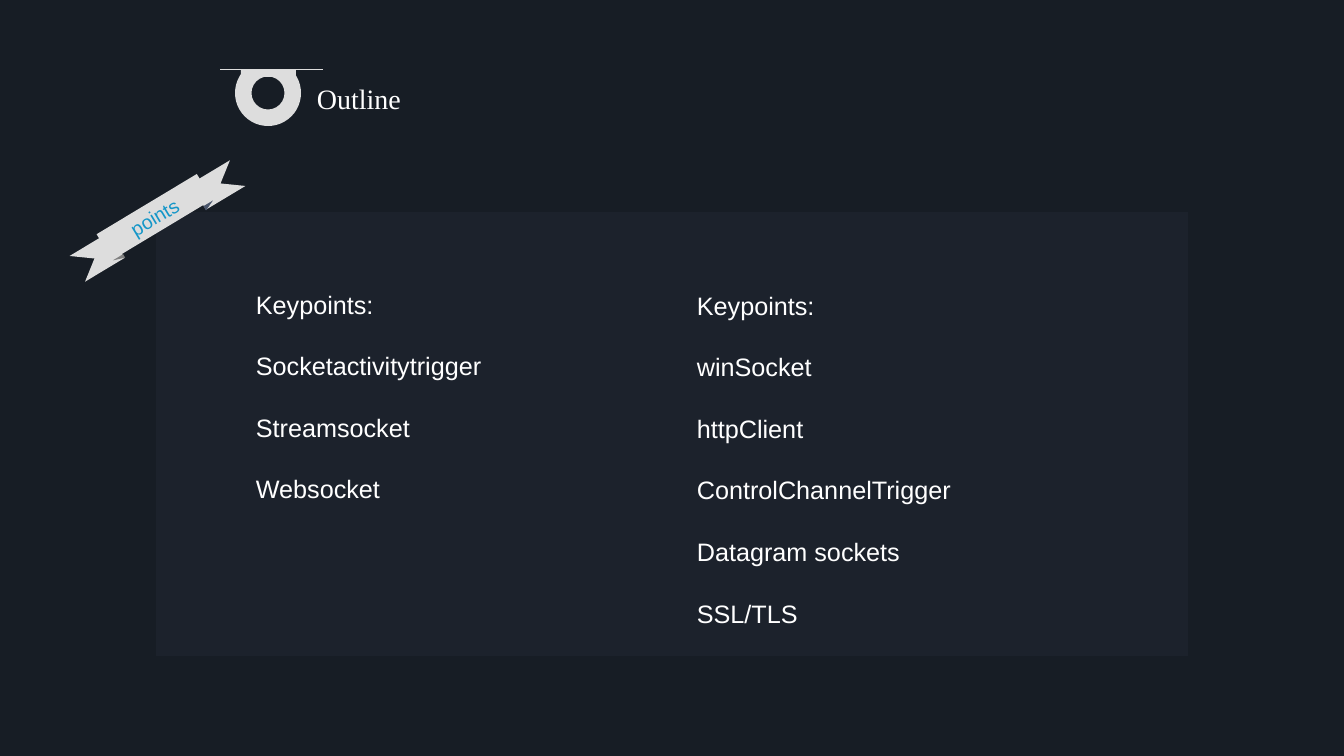
from dataclasses import dataclass

from lxml import etree
from pptx import Presentation
from pptx.dml.color import RGBColor
from pptx.enum.shapes import MSO_CONNECTOR, MSO_SHAPE
from pptx.enum.text import MSO_ANCHOR, PP_ALIGN
from pptx.oxml.ns import qn
from pptx.util import Emu, Pt

RECTANGLE, DONUT = MSO_SHAPE.RECTANGLE, MSO_SHAPE.DONUT
STRAIGHT = MSO_CONNECTOR.STRAIGHT


@dataclass(frozen=True)
class Theme:
    background: str = "171D25"
    slate: str = "4A566C"
    light: str = "DDDDDD"
    shade: str = "808080"
    text: str = "FFFFFF"
    accent: str = "1496C8"
    sans: str = "Arial"
    serif: str = "Times New Roman"
    title_size: int = 20
    body_size: int = 18
    ribbon_size: int = 14
    body_gap: float = 22.4


THEME = Theme()
SCALE = 914400 / 100.8

TITLE = "Outline"
RIBBON_LABEL = "points"
RIBBON_ANGLE = 329
# (box in px, left indent in px, lines)
COLUMNS = [
    ((246, 284, 357, 285), 0,
     ["Keypoints:", "Socketactivitytrigger", "Streamsocket", "Websocket"]),
    ((637, 285, 357, 346), 50,
     ["Keypoints:", "winSocket", "httpClient", "ControlChannelTrigger",
      "Datagram sockets", "SSL/TLS"]),
]
TAIL = [(0, 0), (46, 0), (26, 15), (46, 30), (0, 30)]
RIGHT_FOLD = [(0, 0), (11, 0), (0, 5)]
LEFT_FOLD = [(0, 0), (12, 0), (12, 4)]
# (outline, left, top, rotation, colour)
RIBBON_TAILS = [
    (TAIL, 74, 242, RIBBON_ANGLE - 180, THEME.light),
    (TAIL, 195, 170, RIBBON_ANGLE, THEME.light),
]
RIBBON_FOLDS = [
    (RIGHT_FOLD, 204, 203, RIBBON_ANGLE, THEME.slate),
    (LEFT_FOLD, 113, 257, RIBBON_ANGLE, THEME.shade),
]


def px(value):
    return Emu(round(value * SCALE))


def paint(shape, color):
    shape.shadow.inherit = False
    shape.fill.solid()
    shape.fill.fore_color.rgb = RGBColor.from_string(color)
    shape.line.fill.background()
    return shape


def add_block(slide, kind, box, color):
    return paint(slide.shapes.add_shape(kind, *map(px, box)), color)


def add_outline(slide, points, left, top, rotation, color):
    builder = slide.shapes.build_freeform(*points[0], scale=SCALE)
    builder.add_line_segments(points[1:], close=True)
    shape = paint(builder.convert_to_shape(px(left), px(top)), color)
    shape.rotation = rotation


def style_text(paragraph, font_name, size, color):
    for run in paragraph.runs:
        run.font.name = font_name
        run.font.size = Pt(size)
        run.font.color.rgb = RGBColor.from_string(color)


def add_text(slide, box, lines, font_name, size, gap=0, indent=0):
    frame = slide.shapes.add_textbox(*map(px, box)).text_frame
    frame.word_wrap = True
    frame.text = "\n".join(lines)
    for index, paragraph in enumerate(frame.paragraphs):
        paragraph.space_before = Pt(gap if index else 0)
        if indent:
            paragraph._p.get_or_add_pPr().set("marL", str(px(indent)))
        style_text(paragraph, font_name, size, THEME.text)


def add_hanging_ring(slide):
    """Ring below a rail; a block in the background colour hides what rises above."""
    rail = slide.shapes.add_connector(STRAIGHT, px(220), px(69), px(323), px(69))
    rail.line.color.rgb = RGBColor.from_string(THEME.light)
    rail.line.width = Pt(1.5)
    etree.SubElement(rail._element.spPr, qn("a:effectLst"))
    add_block(slide, RECTANGLE, (241, 5, 55, 72), THEME.light)
    ring = add_block(slide, DONUT, (235, 60, 66, 66), THEME.light)
    ring.adjustments[0] = 0.25
    add_block(slide, RECTANGLE, (204, 0, 143, 69), THEME.background)


def add_ribbon(slide):
    for tail in RIBBON_TAILS:
        add_outline(slide, *tail)
    band = add_block(slide, RECTANGLE, (96, 202, 117, 30), THEME.light)
    band.rotation = RIBBON_ANGLE
    frame = band.text_frame
    frame.text = RIBBON_LABEL
    frame.word_wrap = False
    frame.vertical_anchor = MSO_ANCHOR.MIDDLE
    label = frame.paragraphs[0]
    label.alignment = PP_ALIGN.CENTER
    style_text(label, THEME.sans, THEME.ribbon_size, THEME.accent)
    for fold in RIBBON_FOLDS:
        add_outline(slide, *fold)


def main():
    presentation = Presentation()
    presentation.slide_width, presentation.slide_height = px(1344), px(756)
    slide = presentation.slides.add_slide(presentation.slide_layouts[6])
    slide.background.fill.solid()
    slide.background.fill.fore_color.rgb = RGBColor.from_string(THEME.background)

    panel = add_block(slide, RECTANGLE, (156, 212, 1032, 444), THEME.slate)
    panel_color = panel._element.spPr.find(qn("a:solidFill"))[0]
    etree.SubElement(panel_color, qn("a:alpha"), val="10000")

    add_text(slide, (307, 77, 199, 44), [TITLE], THEME.serif, THEME.title_size)
    add_hanging_ring(slide)
    add_ribbon(slide)
    for box, indent, lines in COLUMNS:
        add_text(slide, box, lines, THEME.sans, THEME.body_size,
                 THEME.body_gap, indent)
    presentation.save("out.pptx")


if __name__ == "__main__":
    main()
